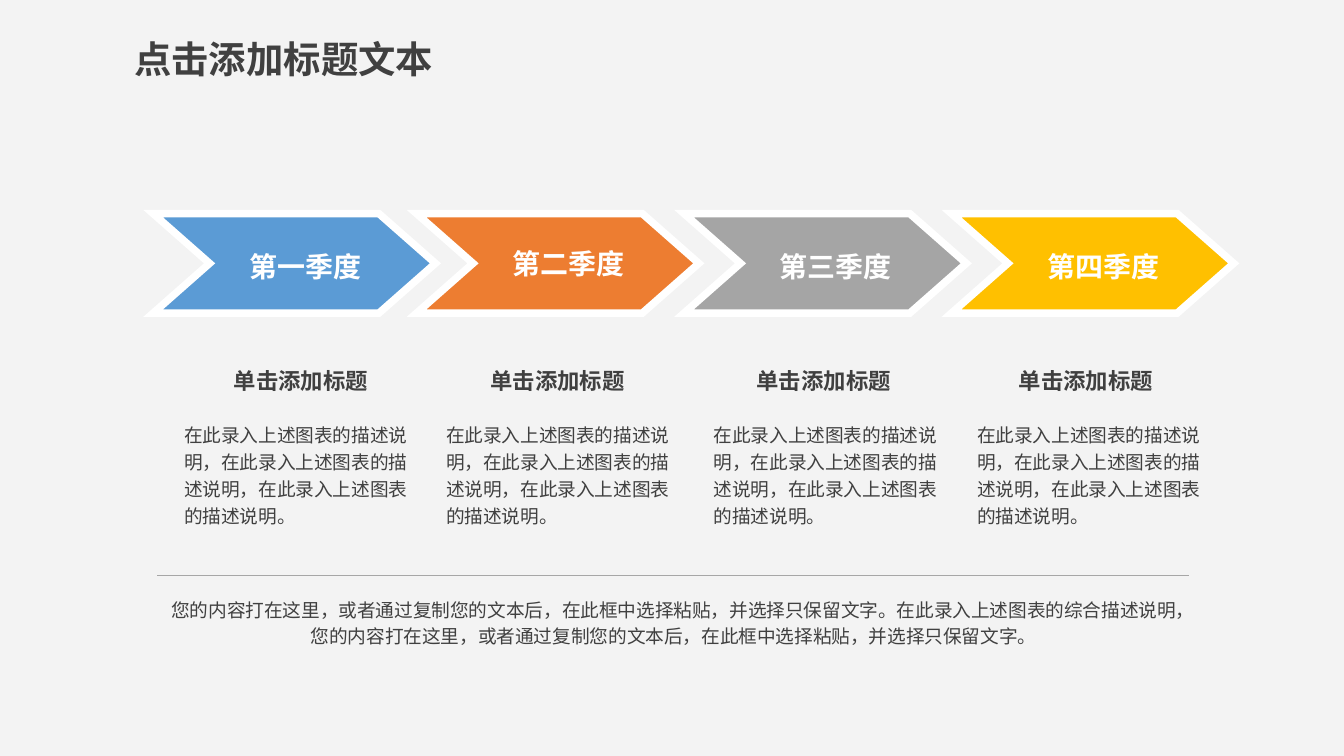
import pptx
import pptx.util
import pptx.dml.color
import pptx.enum.shapes
import pptx.enum.text
import pptx.oxml
import pptx.oxml.ns
from lxml import etree

Inches = pptx.util.Inches
Pt = pptx.util.Pt
RGBColor = pptx.dml.color.RGBColor
Align = pptx.enum.text.PP_ALIGN
Anchor = pptx.enum.text.MSO_ANCHOR
qn = pptx.oxml.ns.qn

BACK = RGBColor(0xF3, 0xF3, 0xF3)
WHITE = RGBColor(0xFF, 0xFF, 0xFF)
DARK = RGBColor(0x40, 0x40, 0x40)
RULE = RGBColor(0xA6, 0xA6, 0xA6)
BLUE = RGBColor(0x5B, 0x9B, 0xD5)
ORANGE = RGBColor(0xED, 0x7D, 0x31)
GRAY = RGBColor(0xA5, 0xA5, 0xA5)
GOLD = RGBColor(0xFF, 0xC0, 0x00)
SANS = "Noto Sans CJK SC"

TITLE = "点击添加标题文本"
HEAD = "单击添加标题"
BODY = "在此录入上述图表的描述说明，在此录入上述图表的描述说明，在此录入上述图表的描述说明。"
NOTE = (
    "您的内容打在这里，或者通过复制您的文本后，在此框中选择粘贴，并选择只保留文字。"
    "在此录入上述图表的综合描述说明，"
    "您的内容打在这里，或者通过复制您的文本后，在此框中选择粘贴，并选择只保留文字。"
)
STEPS = [
    dict(label="第一季度", fill=BLUE, space=1.2, left=1.14, head=1.66, body=1.3),
    dict(label="第二季度", fill=ORANGE, space=1.0, left=3.1, head=3.57, body=3.25),
    dict(label="第三季度", fill=GRAY, space=1.2, left=5.09, head=5.55, body=5.24),
    dict(label="第四季度", fill=GOLD, space=1.2, left=7.08, head=7.5, body=7.2),
]
WIDTH = 10
TOP, WIDE, HIGH, NOTCH = 1.59, 2.1, 0.74, 0.42
LABEL = 1.8


def add_text(slide, box, text, size, color=DARK, bold=False, font=SANS,
             align=Align.LEFT, space=1.0, wrap=True, pad=(0.07, 0.04),
             anchor=Anchor.TOP):
    frame = slide.shapes.add_textbox(*map(Inches, box)).text_frame
    frame.word_wrap = wrap
    frame.vertical_anchor = anchor
    frame.margin_left = frame.margin_right = Inches(pad[0])
    frame.margin_top = frame.margin_bottom = Inches(pad[1])
    para = frame.paragraphs[0]
    para.alignment = align
    para.line_spacing = space
    run = para.add_run()
    run.text = text
    run.font.size = Pt(size)
    run.font.bold = bold
    run.font.color.rgb = color
    run.font.name = font
    east = etree.SubElement(run.font._element, qn("a:ea"))
    east.set("typeface", SANS)


def add_arrow(slide, left, fill):
    right, mid, base = left + WIDE, TOP + HIGH / 2, TOP + HIGH
    start = (left, TOP)
    points = [(right - NOTCH, TOP), (right, mid), (right - NOTCH, base),
              (left, base), (left, base), (left + NOTCH, mid), start]
    pen = slide.shapes.build_freeform(*map(Inches, start), scale=1.0)
    pen.add_line_segments([(Inches(x), Inches(y)) for x, y in points])
    arrow = pen.convert_to_shape()
    arrow.shadow.inherit = False
    arrow.fill.solid()
    arrow.fill.fore_color.rgb = fill
    arrow.line.color.rgb = WHITE
    arrow.line.width = Pt(4)
    miter = etree.SubElement(arrow.line._get_or_add_ln(), qn("a:miter"))
    miter.set("lim", "800000")


def add_rule(slide, left, right, y):
    rule = slide.shapes.add_connector(
        pptx.enum.shapes.MSO_CONNECTOR.STRAIGHT,
        Inches(left), Inches(y), Inches(right), Inches(y))
    rule.line.color.rgb = RULE
    rule.line.width = Pt(0.5)
    etree.SubElement(rule._element.spPr, qn("a:effectLst"))


def main():
    deck = pptx.Presentation()
    deck.slide_width = Inches(WIDTH)
    deck.slide_height = Inches(WIDTH * 9 / 16)
    slide = deck.slides.add_slide(deck.slide_layouts[6])
    slide.background.fill.solid()
    slide.background.fill.fore_color.rgb = BACK

    add_text(slide, (0.9, 0.22, 2.45, 0.44), TITLE, 20, bold=True,
             wrap=False, pad=(0.1, 0.05))
    for step in STEPS:
        add_arrow(slide, step["left"], step["fill"])
        mid = step["left"] + 1.13
        add_text(slide, (mid - LABEL / 2, 1.77, LABEL, 0.38), step["label"],
                 15, WHITE, True, "Arial", Align.CENTER, step["space"],
                 pad=(0.1, 0.05), anchor=Anchor.MIDDLE)
        add_text(slide, (step["head"], 2.69, 1.16, 0.28), HEAD, 12,
                 bold=True, align=Align.CENTER, wrap=False)
        add_text(slide, (step["body"], 3.08, 1.83, 0.88), BODY, 10, space=1.2)
    add_rule(slide, 1.17, 8.85, 4.28)
    add_text(slide, (1.16, 4.38, 7.7, 0.48), NOTE, 10,
             align=Align.CENTER, space=1.2)
    deck.save("out.pptx")


if __name__ == "__main__":
    main()
